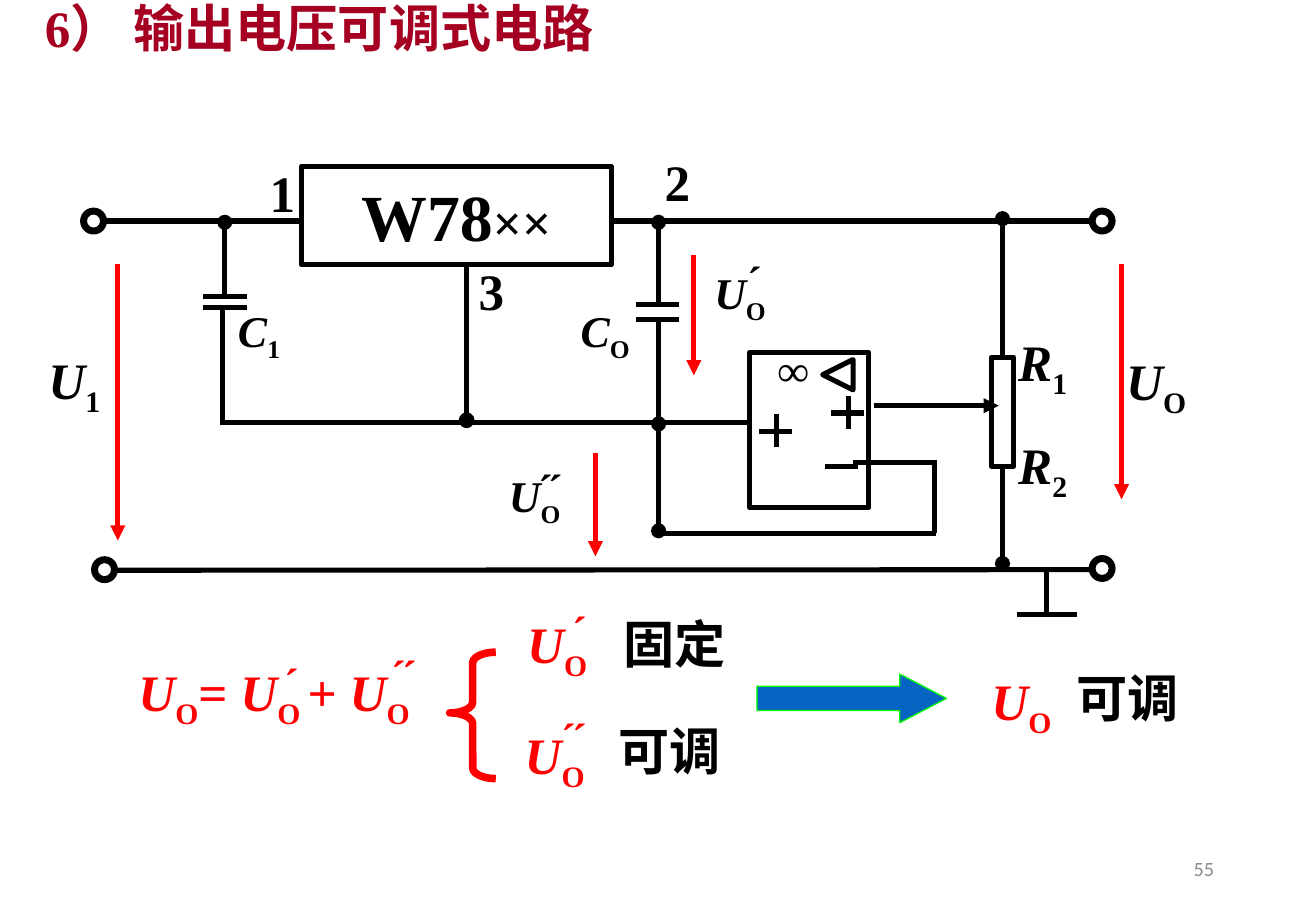
from dataclasses import dataclass

from lxml import etree
from pptx import Presentation
from pptx.dml.color import RGBColor
from pptx.enum.shapes import MSO_CONNECTOR, MSO_SHAPE
from pptx.enum.text import MSO_ANCHOR, PP_ALIGN
from pptx.oxml.ns import qn
from pptx.util import Inches, Pt

STRAIGHT = MSO_CONNECTOR.STRAIGHT
RECTANGLE, ELLIPSE, DONUT = MSO_SHAPE.RECTANGLE, MSO_SHAPE.OVAL, MSO_SHAPE.DONUT
TRIANGLE, BRACE = MSO_SHAPE.ISOSCELES_TRIANGLE, MSO_SHAPE.LEFT_BRACE
BLOCK_ARROW = MSO_SHAPE.RIGHT_ARROW
LEFT, CENTER, RIGHT = PP_ALIGN.LEFT, PP_ALIGN.CENTER, PP_ALIGN.RIGHT
TOP, MIDDLE = MSO_ANCHOR.TOP, MSO_ANCHOR.MIDDLE
SIDE_TOP, SIDE_BOTTOM = 0, 2
CELL = Inches(0.1)  # one column or row of the drawing grid


@dataclass(frozen=True)
class Theme:
    title: RGBColor = RGBColor(0xA5, 0x00, 0x21)
    ink: RGBColor = RGBColor(0, 0, 0)
    paper: RGBColor = RGBColor(0xFF, 0xFF, 0xFF)
    signal: RGBColor = RGBColor(0xFF, 0, 0)
    arrow: RGBColor = RGBColor(0x05, 0x63, 0xC1)
    arrow_edge: RGBColor = RGBColor(0, 0xFF, 0)
    muted: RGBColor = RGBColor(0x8C, 0x8C, 0x8C)
    serif: str = "Times New Roman"
    sans: str = "Calibri"
    huge: float = 39
    large: float = 30.3
    medium: float = 26
    small: float = 12
    wire: float = 3
    heavy: float = 4.5
    thin: float = 0.75


THEME = Theme()

# Wires and plates: column and row of both ends
WIRES = [
    (8.6, 18.2, 24.8, 18.2), (50.3, 18.2, 89.8, 18.2),    # upper rail
    (9.4, 46.95, 89.8, 46.9),                             # lower rail
    (61.7, 34.8, 18.1, 34.8), (38.4, 21.8, 38.4, 35),     # common line, pin 3
    (16.7, 24.4, 20.3, 24.4), (16.7, 25.3, 20.3, 25.3),   # input capacitor
    (18.3, 25.1, 18.3, 34.8),
    (52.3, 25.1, 55.9, 25.1), (52.3, 26.3, 55.9, 26.3),   # output capacitor
    (70.2, 38.1, 77, 38.1), (76.9, 43.9, 76.9, 37.9),     # feedback loop
    (77, 43.9, 54.4, 43.9),
    (86.1, 47.1, 86.1, 50.6), (83.7, 50.6, 88.6, 50.6),   # ground
    (67.9, 38.4, 70.6, 38.4),                             # minus sign
    (68.4, 34, 71.1, 34), (69.8, 32.6, 69.8, 35.3),       # output plus sign
    (62.5, 35.5, 65.2, 35.5), (63.9, 34.1, 63.9, 36.8),   # input plus sign
]
# Wires that end in a junction dot
DOTTED_WIRES = [
    (18.5, 24.2, 18.5, 18.3), (54.2, 25.3, 54.2, 18.3),
    (54.2, 26.1, 54.2, 34.9), (54.2, 35.5, 54.2, 43.7),
]
VOLTAGE_ARROWS = [
    (9.7, 21.7, 9.7, 44.5), (92.3, 21.7, 92.3, 41.1),
    (57.1, 21, 57.1, 30.9), (49, 37.3, 49, 45.8),
]
TERMINALS = [(6.8, 17.3), (89.8, 17.3), (7.7, 46), (89.8, 45.9)]
PINS = [("1", 21.2, 12.8), ("2", 53.7, 11.9), ("3", 38.4, 20.9)]
# Letter, subscript, column, row, width, type size, colour
SYMBOLS = [
    ("C", "1", 18.6, 24.5, 6.8, THEME.medium, THEME.ink),
    ("C", "O", 46.8, 24.5, 13.4, THEME.medium, THEME.ink),
    ("U", "O", 57.8, 21.4, 13.4, THEME.medium, THEME.ink),
    ("U", "O", 40.9, 38.1, 13.4, THEME.medium, THEME.ink),
    ("U", "1", 3, 28.2, 8.4, THEME.large, THEME.ink),
    ("U", "O", 91.7, 28.3, 11.3, THEME.large, THEME.ink),
    ("R", "1", 82.8, 26.7, 8.9, THEME.large, THEME.ink),
    ("R", "2", 82.8, 35.2, 10.9, THEME.large, THEME.ink),
    ("U", "O", 42.4, 49.9, 9.7, THEME.large, THEME.signal),
    ("U", "O", 42.2, 59.1, 7.4, THEME.large, THEME.signal),
    ("U", "O", 80.6, 54.6, 7.4, THEME.large, THEME.signal),
]
# Columns of the marks, row, colour
PRIMES = [
    ((60.5,), 20.4, THEME.ink), ((43.3, 44.1), 37.5, THEME.ink),
    ((22.4,), 53.5, THEME.signal), ((31.2, 32.1), 52.8, THEME.signal),
    ((46.1,), 49.2, THEME.signal), ((45.2, 46.1), 58, THEME.signal),
]
REMARKS = [("固定", 50.3, 49.9), ("可调", 49.9, 58.7), ("可调", 87.6, 54.4)]
# Text and style of each run: v variable, s subscript, n normal
EQUATION = [("U", "v"), ("O", "s"), ("= ", "n"), ("U", "v"), ("O ", "s"),
            ("+ ", "n"), ("U", "v"), ("O", "s")]


def grid(*cells):
    return [round(cell * CELL) for cell in cells]


def write(shape, runs, size, color, align=LEFT, anchor=TOP, font=THEME.serif, bold=True):
    frame = shape.text_frame
    frame.word_wrap = True
    frame.vertical_anchor = anchor
    paragraph = frame.paragraphs[0]
    paragraph.alignment = align
    paragraph.font.name = font
    paragraph.font.size = Pt(size)
    paragraph.font.bold = bold
    paragraph.font.color.rgb = color
    for text, style in runs:
        run = paragraph.add_run()
        run.text = text
        if style == "v":
            run.font.italic = True
        elif style == "s":
            run._r.get_or_add_rPr().set("baseline", "-25000")
    return paragraph


def add_text(slide, runs, box, size, color, **style):
    if isinstance(runs, str):
        runs = [(runs, "n")]
    return write(slide.shapes.add_textbox(*grid(*box)), runs, size, color, **style)


def add_outline(slide, kind, box, fill=None, line=THEME.ink, width=THEME.wire, adjust=()):
    shape = slide.shapes.add_shape(kind, *grid(*box))
    shape.shadow.inherit = False
    if fill is None:
        shape.fill.background()
    else:
        shape.fill.solid()
        shape.fill.fore_color.rgb = fill
    shape.line.color.rgb = line
    shape.line.width = Pt(width)
    for index, value in enumerate(adjust):
        shape.adjustments[index] = value
    return shape


def add_wire(slide, ends, color=THEME.ink, tip=None):
    wire = slide.shapes.add_connector(STRAIGHT, *grid(*ends))
    wire.line.color.rgb = color
    wire.line.width = Pt(THEME.wire)
    properties = wire.element.spPr
    if tip:
        etree.SubElement(properties.find(qn("a:ln")), qn("a:tailEnd"), type=tip)
    etree.SubElement(properties, qn("a:effectLst"))
    return wire


def draw_circuit(slide):
    # Regulator block
    regulator = add_outline(slide, RECTANGLE, (24.8, 13.7, 25.5, 8.1))
    paragraph = write(regulator, [("W78", "n"), ("××", "n")], THEME.huge, THEME.ink,
                      CENTER, MIDDLE)
    paragraph.runs[1].font.size = Pt(THEME.large)

    # Wiring, junctions and terminals
    for ends in WIRES:
        add_wire(slide, ends)
    for ends in DOTTED_WIRES:
        add_wire(slide, ends, tip="oval")
    for place in TERMINALS:
        add_outline(slide, DONUT, (*place, 1.8, 1.8), THEME.ink, adjust=(0.08,))
    add_outline(slide, ELLIPSE, (37.8, 34, 1.2, 1.2), THEME.ink, width=THEME.thin)

    # Divider between the rails, with its slider
    divider = add_outline(slide, RECTANGLE, (81.6, 29.4, 1.8, 9))
    upper = add_wire(slide, (82.5, 29.4, 82.5, 18), tip="oval")
    upper.begin_connect(divider, SIDE_TOP)
    lower = add_wire(slide, (82.5, 38.4, 82.5, 46.4), tip="oval")
    lower.begin_connect(divider, SIDE_BOTTOM)
    add_wire(slide, (71.9, 33.4, 82.2, 33.4), tip="triangle")

    # Operational amplifier
    add_outline(slide, RECTANGLE, (61.7, 29, 9.8, 12.8))
    add_outline(slide, TRIANGLE, (67.7, 29.6, 2.5, 2.5), THEME.paper).rotation = 270
    add_text(slide, "∞", (63, 27.7, 5.2, 5.4), THEME.medium, THEME.ink)

    # Voltage arrows and pin numbers
    for ends in VOLTAGE_ARROWS:
        add_wire(slide, ends, THEME.signal, "triangle")
    for number, column, row in PINS:
        add_text(slide, number, (column, row, 4.1, 6.1), THEME.large, THEME.ink)


def draw_labels(slide):
    for letter, subscript, column, row, width, size, color in SYMBOLS:
        add_text(slide, [(letter, "v"), (subscript, "s")], (column, row, width, size / 5),
                 size, color)
    for columns, row, color in PRIMES:
        for column in columns:
            add_text(slide, "´", (column, row, 4.1, 5.4), THEME.medium, color)
    for remark, column, row in REMARKS:
        add_text(slide, remark, (column, row, 12, 6.1), THEME.large, THEME.ink)


def draw_conclusion(slide):
    add_text(slide, EQUATION, (10.4, 53.9, 39.7, 6.1), THEME.large, THEME.signal)
    add_outline(slide, BRACE, (37, 53.7, 3.8, 10.4), line=THEME.signal,
                width=THEME.heavy, adjust=(0.23, 0.48))
    add_outline(slide, BLOCK_ARROW, (62.3, 55.5, 15.6, 4), THEME.arrow,
                THEME.arrow_edge, THEME.thin, (0.5, 0.96))


def main():
    presentation = Presentation()
    presentation.slide_width, presentation.slide_height = Inches(10.83), Inches(7.5)
    slide = presentation.slides.add_slide(presentation.slide_layouts[6])
    add_text(slide, "6） 输出电压可调式电路", (2.7, -0.8, 56.9, 6.7), THEME.large, THEME.title)
    draw_circuit(slide)
    draw_labels(slide)
    draw_conclusion(slide)
    add_text(slide, "55", (76.5, 69.5, 24.4, 4), THEME.small, THEME.muted,
             align=RIGHT, anchor=MIDDLE, font=THEME.sans, bold=False)
    presentation.save("out.pptx")


if __name__ == "__main__":
    main()
